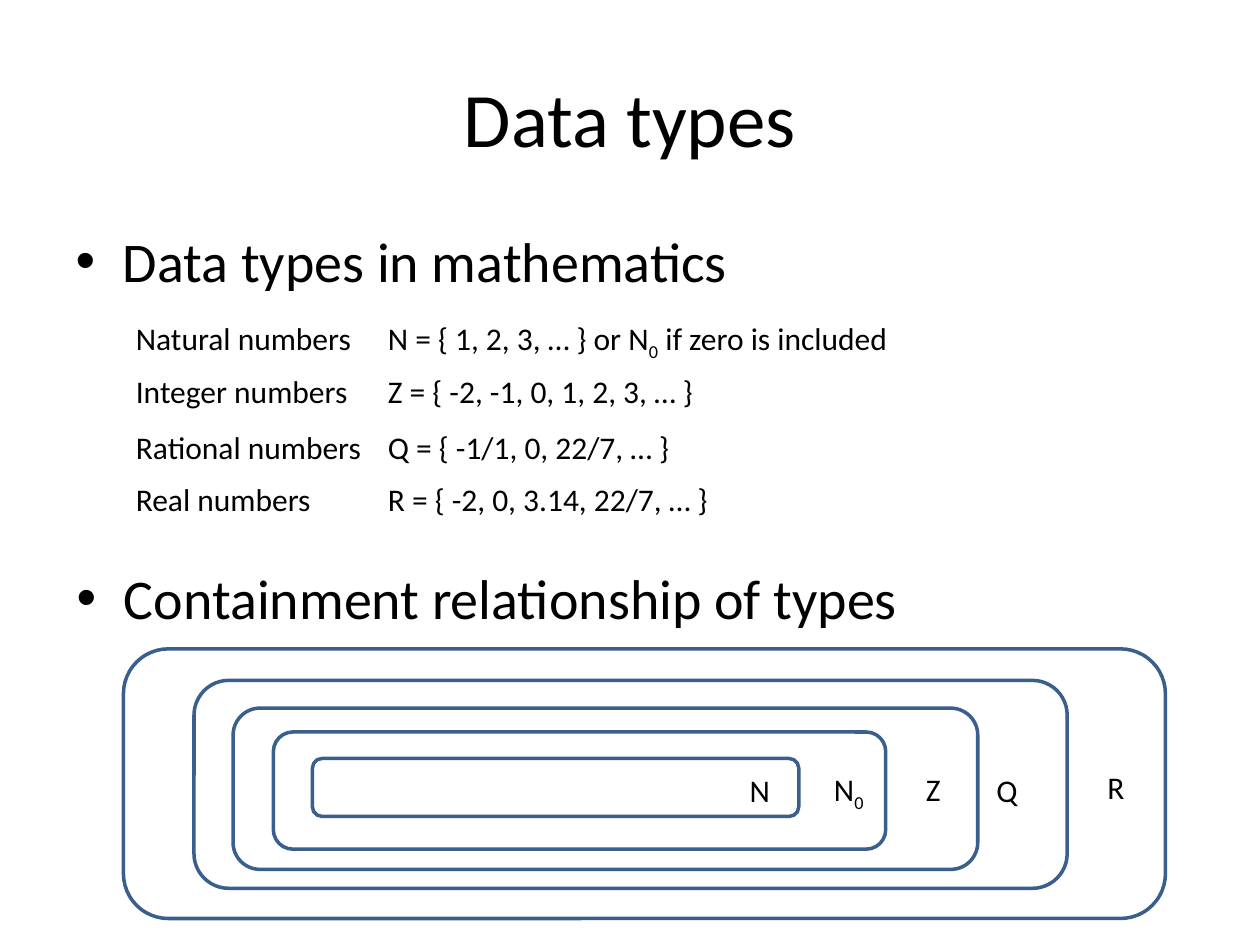
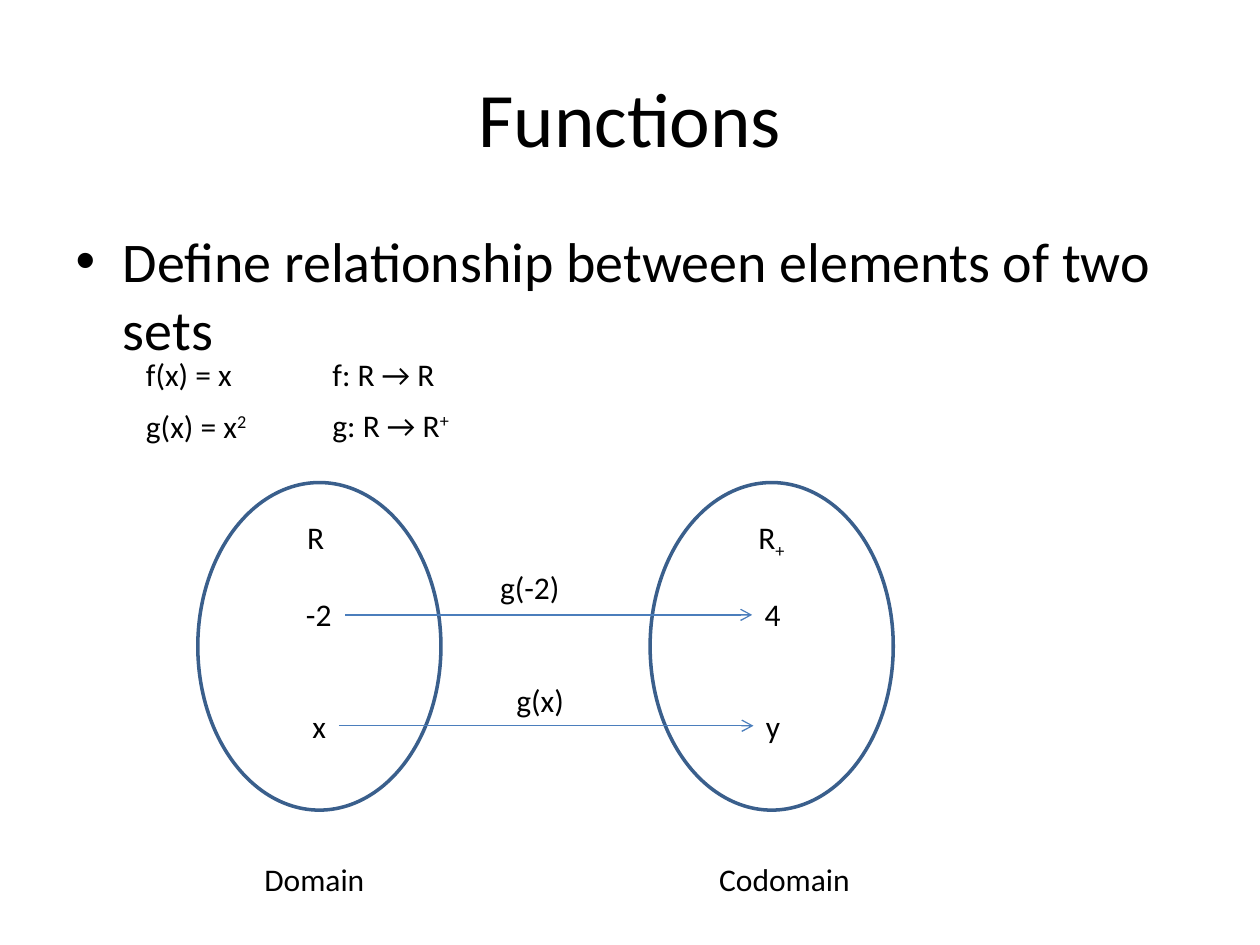
from dataclasses import dataclass

from lxml.etree import SubElement
from pptx import Presentation
from pptx.dml.color import RGBColor
from pptx.enum.shapes import MSO_CONNECTOR as Connector, MSO_SHAPE as Preset
from pptx.enum.text import MSO_ANCHOR as Anchor, MSO_AUTO_SIZE as AutoSize, PP_ALIGN as Align
from pptx.oxml.ns import qn
from pptx.util import Inches, Pt


@dataclass(frozen=True)
class Theme:
    """Colours, font and sizes shared by all slides."""
    font: str = "Calibri"
    text: RGBColor = RGBColor(0, 0, 0)
    outline: RGBColor = RGBColor(0x3A, 0x5F, 0x8C)
    arrow: RGBColor = RGBColor(0x4B, 0x7E, 0xBC)
    title_size: int = 44
    bullet_size: int = 32
    label_size: int = 18
    outline_width: float = 2
    arrow_width: float = 0.75


SUBSCRIPT, SUPERSCRIPT = -25, 30
LABEL_HEIGHT = 0.4


class Deck:
    """Draws styled elements on the current slide."""

    def __init__(self, theme):
        """Start an empty 4:3 presentation."""
        self.theme = theme
        self.presentation = Presentation()
        self.presentation.slide_width = Inches(10)
        self.presentation.slide_height = Inches(7.5)
        self.slide = None

    def place(self, shape, left, top, width, height):
        """Move and size a shape."""
        shape.left, shape.top = Inches(left), Inches(top)
        shape.width, shape.height = Inches(width), Inches(height)

    def add_run(self, paragraph, text, size, baseline=0):
        """Append one styled run, optionally raised or lowered by percent."""
        run = paragraph.add_run()
        run.text = text
        run.font.name = self.theme.font
        run.font.size = Pt(size)
        run.font.color.rgb = self.theme.text
        if baseline:
            run.font._element.set("baseline", str(baseline * 1000))

    def text_box(self, left, top, width, height):
        """Add an empty text box."""
        return self.slide.shapes.add_textbox(
            Inches(left), Inches(top), Inches(width), Inches(height))

    def add_slide(self, title, bullet, bullet_height):
        """Start a slide with its title and first bullet."""
        self.slide = self.presentation.slides.add_slide(self.presentation.slide_layouts[1])
        heading, body = self.slide.placeholders
        self.place(heading, 0.5, 0.3, 9, 1.25)
        heading.text_frame.vertical_anchor = Anchor.MIDDLE
        paragraph = heading.text_frame.paragraphs[0]
        paragraph.alignment = Align.CENTER
        self.add_run(paragraph, title, self.theme.title_size)
        self.place(body, 0.5, 1.75, 9, bullet_height)
        self.bullet(body, bullet)

    def bullet(self, shape, text):
        """Write a bulleted line into a placeholder or text box."""
        shape.text_frame.word_wrap = True
        shape.text_frame.auto_size = AutoSize.NONE
        paragraph = shape.text_frame.paragraphs[0]
        properties = paragraph._p.get_or_add_pPr()
        properties.set("marL", str(Inches(0.375)))
        properties.set("indent", str(Inches(-0.375)))
        spacing = SubElement(properties, qn("a:spcBef"))
        SubElement(spacing, qn("a:spcPct"), val="20000")
        SubElement(properties, qn("a:buFont"), typeface="Arial")
        SubElement(properties, qn("a:buChar"), char="•")
        self.add_run(paragraph, text, self.theme.bullet_size)

    def label(self, left, top, width, text, mark="", baseline=0, rest="", tab=None):
        """Add a small one-line label with an optional sub- or superscript."""
        box = self.text_box(left, top, width, LABEL_HEIGHT)
        box.text_frame.word_wrap = False
        box.text_frame.auto_size = AutoSize.SHAPE_TO_FIT_TEXT
        paragraph = box.text_frame.paragraphs[0]
        if tab:
            stops = SubElement(paragraph._p.get_or_add_pPr(), qn("a:tabLst"))
            SubElement(stops, qn("a:tab"), pos=str(Inches(tab)), algn="l")
        for part, shift in ((text, 0), (mark, baseline), (rest, 0)):
            if part:
                self.add_run(paragraph, part, self.theme.label_size, shift)

    def outline(self, preset, left, top, width, height):
        """Add an unfilled outlined shape."""
        shape = self.slide.shapes.add_shape(
            preset, Inches(left), Inches(top), Inches(width), Inches(height))
        shape.shadow.inherit = False
        shape.fill.background()
        shape.line.color.rgb = self.theme.outline
        shape.line.width = Pt(self.theme.outline_width)

    def arrow(self, start, end, y):
        """Add a horizontal arrow."""
        connector = self.slide.shapes.add_connector(
            Connector.STRAIGHT, Inches(start), Inches(y), Inches(end), Inches(y))
        connector.line.color.rgb = self.theme.arrow
        connector.line.width = Pt(self.theme.arrow_width)
        SubElement(connector.line._get_or_add_ln(), qn("a:tailEnd"), type="arrow")
        SubElement(connector._element.spPr, qn("a:effectLst"))


def build_data_types(deck):
    """Number sets and how they contain each other."""
    deck.add_slide("Data types", "Data types in mathematics", 0.73)
    definitions = (
        (2.48, 6.29, "Natural numbers\tN = { 1, 2, 3, … } or N",
         "0", SUBSCRIPT, " if zero is included"),
        (2.9, 4.68, "Integer numbers\tZ = { -2, -1, 0, 1, 2, 3, … }"),
        (3.35, 4.48, "Rational numbers\tQ = { -1/1, 0, 22/7, … }"),
        (3.76, 4.83, "Real numbers\tR = { -2, 0, 3.14, 22/7, … }"),
    )
    for top, width, *parts in definitions:
        deck.label(0.98, top, width, *parts, tab=2)
    deck.bullet(deck.text_box(0.51, 4.42, 9, 0.73), "Containment relationship of types")

    nested_sets = (
        ((0.98, 5.15, 8.27, 2.14), (8.69, 6.05, 0.34, "R")),
        ((1.54, 5.4, 6.93, 1.65), (7.81, 6.07, 0.51, "Q")),
        ((1.85, 5.62, 5.91, 1.28), (7.25, 6.06, 0.51, "Z")),
        ((2.17, 5.81, 4.86, 0.93), (6.52, 6.06, 0.51, "N", "0", SUBSCRIPT)),
        ((2.48, 6.02, 3.86, 0.46), (5.85, 6.07, 0.51, "N")),
    )
    for frame, name in nested_sets:
        deck.outline(Preset.ROUNDED_RECTANGLE, *frame)
        deck.label(*name)


def build_functions(deck):
    """Functions as mappings from a domain to a codomain."""
    deck.add_slide("Functions", "Define relationship between elements of two sets", 1.13)
    for left in (1.57, 5.16):
        deck.outline(Preset.OVAL, left, 3.83, 1.93, 2.6)
    labels = (
        (1.06, 2.77, 0.89, "f(x) = x"),
        (1.06, 3.18, 1.02, "g(x) = x", "2", SUPERSCRIPT),
        (2.54, 2.77, 1.02, "f: R → R"),
        (2.54, 3.17, 1.19, "g: R → R", "+", SUPERSCRIPT),
        (2.34, 4.06, 0.34, "R"),
        (5.92, 4.06, 0.42, "R", "+", SUBSCRIPT),
        (2.33, 4.67, 0.41, "-2"),
        (5.97, 4.67, 0.33, "4"),
        (2.38, 5.56, 0.31, "x"),
        (5.98, 5.56, 0.32, "y"),
        (3.87, 4.46, 0.68, "g(-2)"),
        (4, 5.36, 0.58, "g(x)"),
        (2, 6.78, 1, "Domain"),
        (5.61, 6.78, 1.25, "Codomain"),
    )
    for label in labels:
        deck.label(*label)
    deck.arrow(2.74, 5.97, 4.88)
    deck.arrow(2.69, 5.98, 5.76)


deck = Deck(Theme())
build_data_types(deck)
build_functions(deck)
deck.presentation.save("out.pptx")
